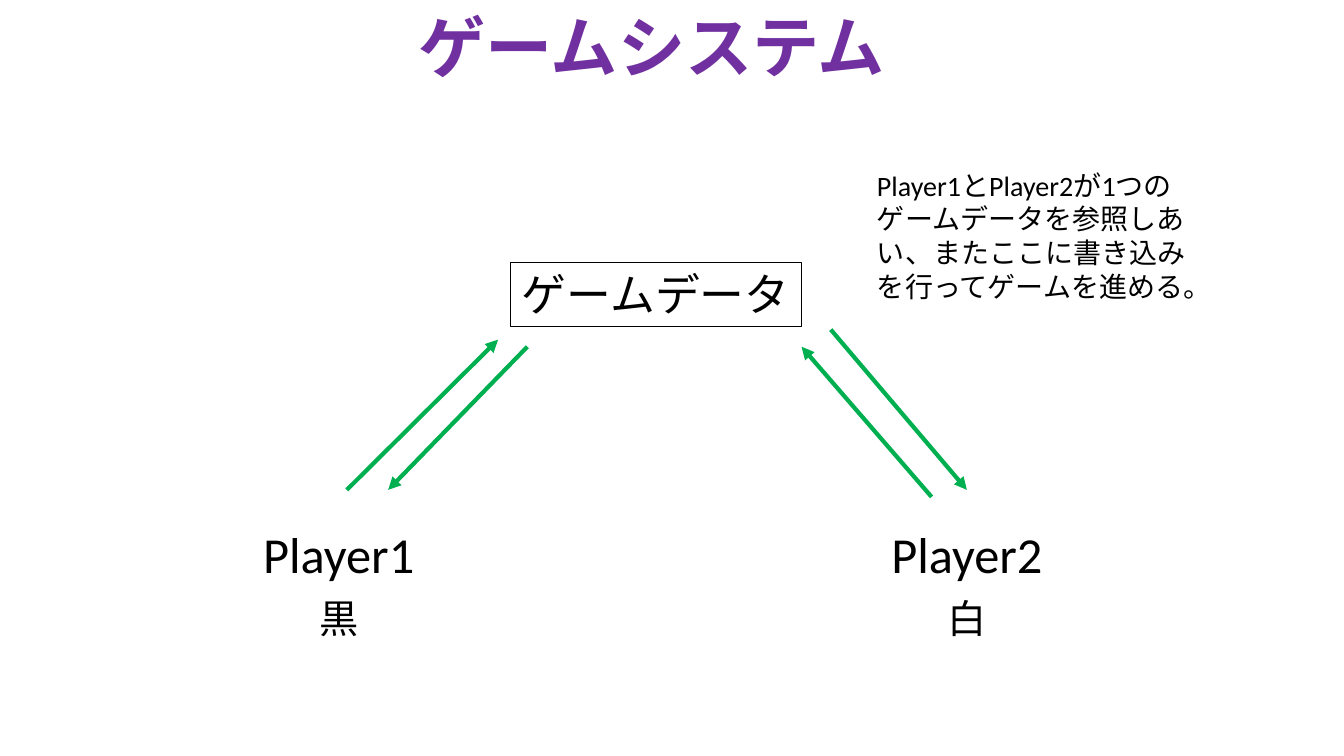
import pptx
import pptx.dml.color
import pptx.enum.lang
import pptx.enum.shapes
import pptx.enum.text
import pptx.oxml
import pptx.oxml.ns
import pptx.util
from pptx.util import Inches

BLACK = pptx.dml.color.RGBColor(0x00, 0x00, 0x00)
PURPLE = pptx.dml.color.RGBColor(0x70, 0x30, 0xA0)
GREEN = pptx.dml.color.RGBColor(0x00, 0xB0, 0x50)
FONT = "Calibri"
CENTER = pptx.enum.text.PP_ALIGN.CENTER
LEFT = pptx.enum.text.PP_ALIGN.LEFT

DATA_NAME = "ゲームデータ"
DESCRIPTION = (
    f"Player1とPlayer2が1つの{DATA_NAME}を参照しあい、"
    "またここに書き込みを行ってゲームを進める。"
)
# Name, disc colour, centre of the column
PLAYERS = [("Player1", "黒", 3.36), ("Player2", "白", 9.59)]
# Start and end of each arrow
ARROWS = [
    ((3.44, 4.86), (4.94, 3.37)),
    ((9.24, 4.93), (7.95, 3.44)),
    ((5.23, 3.44), (3.85, 4.86)),
    ((8.24, 3.27), (9.59, 4.86)),
]


def write_text(shape, text, size, color=BLACK, bold=False, alignment=CENTER):
    """Put one formatted paragraph into a shape."""
    frame = shape.text_frame
    frame.text = text
    frame.word_wrap = True
    frame.auto_size = pptx.enum.text.MSO_AUTO_SIZE.NONE
    frame.vertical_anchor = pptx.enum.text.MSO_ANCHOR.TOP
    paragraph = frame.paragraphs[0]
    paragraph.alignment = alignment
    font = paragraph.runs[0].font
    font.name = FONT
    font.size = pptx.util.Pt(size)
    font.bold = bold
    font.color.rgb = color
    font.language_id = pptx.enum.lang.MSO_LANGUAGE_ID.JAPANESE


def add_title(slide, text):
    """Place and format the title placeholder."""
    title = slide.shapes.title
    title.left, title.top = Inches(3.56), Inches(0)
    title.width, title.height = Inches(5.81), Inches(0.91)
    write_text(title, text, 48, PURPLE, bold=True)


def add_text(slide, text, left, top, width, height, size, alignment=CENTER):
    """Add a text box."""
    box = slide.shapes.add_textbox(
        Inches(left), Inches(top), Inches(width), Inches(height)
    )
    write_text(box, text, size, alignment=alignment)


def add_data_box(slide, text):
    """Add the outlined box for the shared data."""
    box = slide.shapes.add_shape(
        pptx.enum.shapes.MSO_SHAPE.RECTANGLE,
        Inches(5.06), Inches(2.6), Inches(2.89), Inches(0.64),
    )
    box.shadow.inherit = False
    box.fill.background()
    box.line.color.rgb = BLACK
    box.line.width = pptx.util.Pt(0.75)
    write_text(box, text, 32)


def add_player(slide, name, disc, center):
    """Add a player's name with the disc colour below it."""
    add_text(slide, name, center - 1.04, 5.14, 2.08, 0.71, 36)
    add_text(slide, disc, center - 0.38, 5.85, 0.76, 0.57, 28)


def add_arrow(slide, start, end):
    """Add a green arrow pointing at its end."""
    arrow = slide.shapes.add_connector(
        pptx.enum.shapes.MSO_CONNECTOR.STRAIGHT,
        *(Inches(length) for length in start + end),
    )
    arrow.line.color.rgb = GREEN
    arrow.line.width = pptx.util.Pt(3)
    head = pptx.oxml.parse_xml(
        f'<a:tailEnd {pptx.oxml.ns.nsdecls("a")} type="triangle"/>'
    )
    arrow.line._get_or_add_ln().append(head)
    no_effects = pptx.oxml.parse_xml(
        f'<a:effectLst {pptx.oxml.ns.nsdecls("a")}/>'
    )
    arrow._element.spPr.append(no_effects)


def main():
    """Build and save the slide."""
    presentation = pptx.Presentation()
    presentation.slide_width = Inches(13.33)
    presentation.slide_height = Inches(7.5)
    slide = presentation.slides.add_slide(presentation.slide_layouts[5])
    add_title(slide, "ゲームシステム")
    for name, disc, center in PLAYERS:
        add_player(slide, name, disc, center)
    add_data_box(slide, DATA_NAME)
    for start, end in ARROWS:
        add_arrow(slide, start, end)
    add_text(slide, DESCRIPTION, 8.6, 1.62, 3.34, 1.45, 20, LEFT)
    presentation.save("out.pptx")


main()
